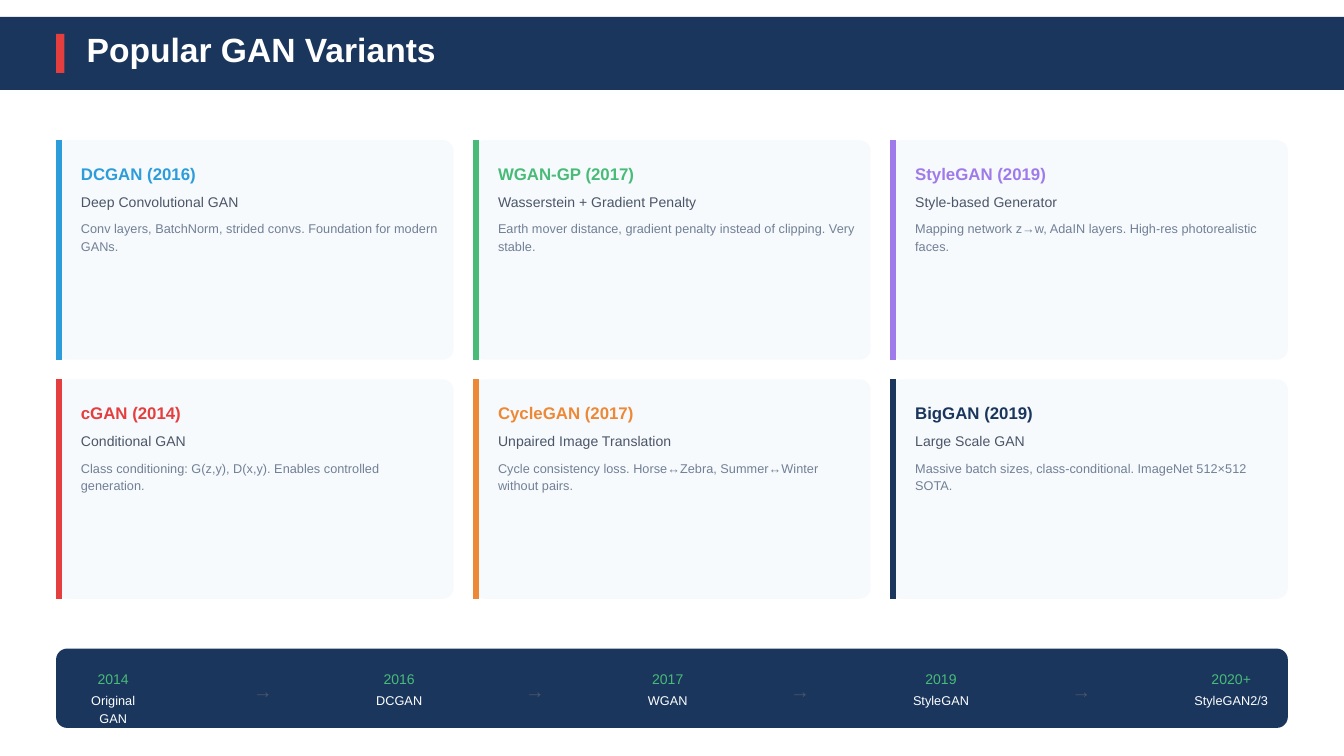
"""Build a slide of popular GAN variants with a timeline."""
import pptx
import pptx.dml.color
import pptx.enum.shapes
import pptx.enum.text
import pptx.oxml
import pptx.util

Cm, Pt = pptx.util.Cm, pptx.util.Pt
SHAPES = pptx.enum.shapes.MSO_SHAPE
ALIGN = pptx.enum.text.PP_ALIGN

NAVY, RED, GREEN, WHITE = "1A365D", "E53E3E", "48BB78", "FFFFFF"
PALE, SLATE, GREY = "F7FAFC", "4A5568", "718096"

TITLE = "Popular GAN Variants"
CARDS = [
    ("2D9CDB", "DCGAN (2016)", "Deep Convolutional GAN",
     "Conv layers, BatchNorm, strided convs. Foundation for modern GANs."),
    (GREEN, "WGAN-GP (2017)", "Wasserstein + Gradient Penalty",
     "Earth mover distance, gradient penalty instead of clipping. Very stable."),
    ("9F7AEA", "StyleGAN (2019)", "Style-based Generator",
     "Mapping network z→w, AdaIN layers. High-res photorealistic faces."),
    (RED, "cGAN (2014)", "Conditional GAN",
     "Class conditioning: G(z,y), D(x,y). Enables controlled generation."),
    ("ED8936", "CycleGAN (2017)", "Unpaired Image Translation",
     "Cycle consistency loss. Horse↔Zebra, Summer↔Winter without pairs."),
    (NAVY, "BigGAN (2019)", "Large Scale GAN",
     "Massive batch sizes, class-conditional. ImageNet 512×512 SOTA."),
]
MILESTONES = [
    ("2014", "Original GAN", 1.42),
    ("2016", "DCGAN", 0.88),
    ("2017", "WGAN", 0.76),
    ("2019", "StyleGAN", 1.06),
    ("2020+", "StyleGAN2/3", 1.4),
]

TITLE_STYLE = {"size": Pt(18), "bold": True}, {"line_spacing": Pt(18)}
NAME_STYLE = {"size": Pt(9), "bold": True}, {"line_spacing": Pt(12.6), "space_after": Pt(4.5)}
KIND_STYLE = {"size": Pt(7.5)}, {"line_spacing": Pt(10.5), "space_after": Pt(4.5)}
DETAIL_STYLE = {"size": Pt(6.8)}, {"line_spacing": Pt(9.4)}
YEAR_STYLE = {"size": Pt(7.5)}, {"line_spacing": Pt(10.5), "alignment": ALIGN.CENTER}
LABEL_STYLE = {"size": Pt(6.8)}, {"line_spacing": Pt(9.4), "alignment": ALIGN.CENTER}
ARROW_STYLE = {"size": Pt(10.5)}, {"line_spacing": Pt(14.7)}

SLIDE_WIDTH, SLIDE_HEIGHT = 25.4, 14.29
MARGIN = 1.06
CONTENT_WIDTH = SLIDE_WIDTH - 2 * MARGIN
COLUMNS, GAP = 3, 0.37
CARD_TOP, CARD_HEIGHT = 2.65, 4.15
CARD_WIDTH = (CONTENT_WIDTH - (COLUMNS - 1) * GAP) / COLUMNS
TEXT_INSET, TEXT_WIDTH = 0.47, 6.82
TIMELINE_TOP, TIMELINE_PADDING, ARROW_WIDTH = 12.26, 0.37, 0.38


def color(value):
    return pptx.dml.color.RGBColor.from_string(value)


def set_all(target, values):
    for name, value in values.items():
        setattr(target, name, value)


def add_block(slide, kind, fill, left, top, width, height, radius=None):
    shape = slide.shapes.add_shape(kind, Cm(left), Cm(top), Cm(width), Cm(height))
    shape.shadow.inherit = False
    shape.fill.solid()
    shape.fill.fore_color.rgb = color(fill)
    shape.line.fill.background()
    if radius is not None:
        shape.adjustments[0] = radius


def add_text(slide, text, style, text_color, left, top, width, height, wrap=True):
    font_values, paragraph_values = style
    frame = slide.shapes.add_textbox(Cm(left), Cm(top), Cm(width), Cm(height)).text_frame
    set_all(frame, {"word_wrap": wrap, "margin_left": 0, "margin_right": 0,
                    "margin_top": 0, "margin_bottom": 0})
    paragraph = frame.paragraphs[0]
    set_all(paragraph, paragraph_values)
    run = paragraph.add_run()
    run.text = text
    set_all(run.font, {"name": "Arial", **font_values})
    run.font.color.rgb = color(text_color)


def add_accent(slide, accent, x, top, height):
    connector = slide.shapes.add_connector(
        pptx.enum.shapes.MSO_CONNECTOR.STRAIGHT, Cm(x), Cm(top), Cm(x), Cm(top + height))
    connector.line.color.rgb = color(accent)
    connector.line.width = Pt(3)
    properties = connector._element.spPr
    properties.append(pptx.oxml.parse_xml(
        '<a:effectLst xmlns:a="http://schemas.openxmlformats.org/drawingml/2006/main"/>'))


def add_header(slide):
    add_block(slide, SHAPES.RECTANGLE, NAVY, 0, 0.32, SLIDE_WIDTH, 1.38)
    add_block(slide, SHAPES.RECTANGLE, RED, MARGIN, 0.64, 0.16, 0.74)
    add_text(slide, TITLE, TITLE_STYLE, WHITE, 1.64, 0.68, 6.73, 0.64)


def add_cards(slide):
    for index, (accent, name, kind, detail) in enumerate(CARDS):
        row, column = divmod(index, COLUMNS)
        left = MARGIN + column * (CARD_WIDTH + GAP)
        top = CARD_TOP + row * (CARD_HEIGHT + GAP)
        add_block(slide, SHAPES.ROUNDED_RECTANGLE, PALE, left, top,
                  CARD_WIDTH, CARD_HEIGHT, 0.05)
        add_accent(slide, accent, left + 0.05, top, CARD_HEIGHT)
        lines = [
            (name, NAME_STYLE, accent, 0.38, 0.43),
            (kind, KIND_STYLE, SLATE, 0.96, 0.38),
            (detail, DETAIL_STYLE, GREY, 1.49, 0.66),
        ]
        for text, style, text_color, offset, height in lines:
            add_text(slide, text, style, text_color, left + TEXT_INSET, top + offset,
                     TEXT_WIDTH, height)


def add_timeline(slide):
    add_block(slide, SHAPES.ROUNDED_RECTANGLE, NAVY, MARGIN, TIMELINE_TOP,
              CONTENT_WIDTH, 1.5, 0.14)
    arrows = len(MILESTONES) - 1
    used = sum(width for _, _, width in MILESTONES) + arrows * ARROW_WIDTH
    gap = (CONTENT_WIDTH - 2 * TIMELINE_PADDING - used) / (2 * arrows)
    left = MARGIN + TIMELINE_PADDING
    for index, (year, label, width) in enumerate(MILESTONES):
        if index:
            add_text(slide, "→", ARROW_STYLE, SLATE, left, TIMELINE_TOP + 0.49,
                     ARROW_WIDTH, 0.51)
            left += ARROW_WIDTH + gap
        add_text(slide, year, YEAR_STYLE, GREEN, left, TIMELINE_TOP + 0.37,
                 width, 0.38, wrap=False)
        add_text(slide, label, LABEL_STYLE, WHITE, left, TIMELINE_TOP + 0.8,
                 width, 0.33, wrap=False)
        left += width + gap


def main():
    presentation = pptx.Presentation()
    set_all(presentation, {"slide_width": Cm(SLIDE_WIDTH), "slide_height": Cm(SLIDE_HEIGHT)})
    slide = presentation.slides.add_slide(presentation.slide_layouts[6])
    add_header(slide)
    add_cards(slide)
    add_timeline(slide)
    presentation.save("out.pptx")


if __name__ == "__main__":
    main()
